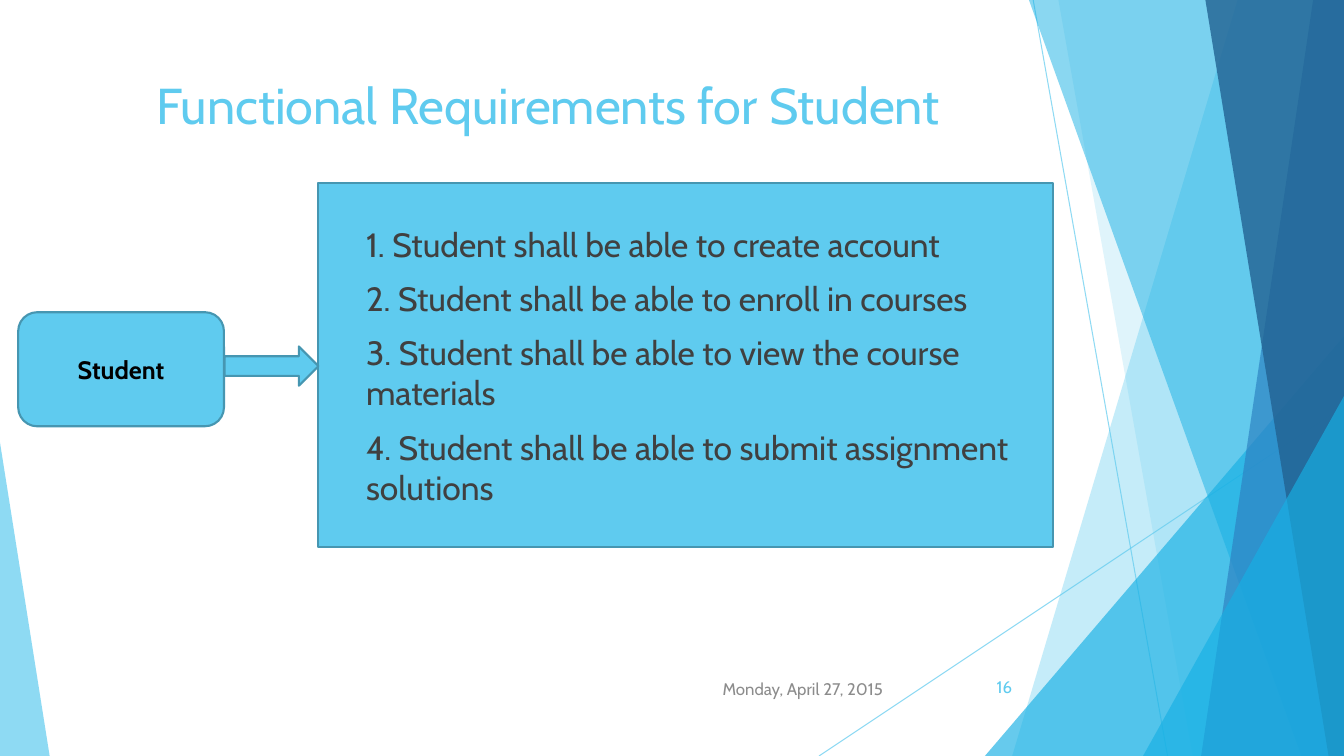
from dataclasses import dataclass

from lxml.etree import SubElement
from pptx import Presentation
from pptx.dml.color import RGBColor
from pptx.enum.shapes import MSO_CONNECTOR, MSO_SHAPE
from pptx.enum.text import MSO_ANCHOR, PP_ALIGN
from pptx.oxml.ns import qn
from pptx.util import Pt


@dataclass(frozen=True)
class Theme:
    """Colours, font and type sizes of the slide."""
    font: str = "Cabin"
    sky: str = "5FCBEF"
    cyan: str = "17B0E4"
    blue: str = "2E83C3"
    navy: str = "226292"
    outline: str = "4696B1"
    body: str = "404040"
    muted: str = "8C8C8C"
    black: str = "000000"
    title_size: int = 36
    body_size: int = 24
    label_size: int = 18
    footer_size: int = 12
    hairline: float = 0.75
    border: float = 1.5


THEME = Theme()
WIDTH, HEIGHT = 960, 540
REQUIREMENTS = (
    "1. Student shall be able to create account",
    "2. Student shall be able to enroll in courses",
    "3. Student shall be able to view the course materials",
    "4. Student shall be able to submit assignment solutions",
)


def set_opacity(shape, percent):
    """Make the only colour of a shape partly transparent."""
    color = next(shape._element.spPr.iter(qn("a:srgbClr")))
    SubElement(color, qn("a:alpha"), val=str(percent * 1000))


def paint(shape, color, opacity=100):
    """Give a shape a flat fill without outline or shadow."""
    shape.shadow.inherit = False
    shape.fill.solid()
    shape.fill.fore_color.rgb = RGBColor.from_string(color)
    shape.line.fill.background()
    if opacity < 100:
        set_opacity(shape, opacity)


def add_ray(page, start, end):
    """Draw a thin translucent line."""
    ray = page.shapes.add_connector(
        MSO_CONNECTOR.STRAIGHT, *(Pt(value) for value in start + end))
    ray.line.color.rgb = RGBColor.from_string(THEME.sky)
    ray.line.width = Pt(THEME.hairline)
    set_opacity(ray, 70)
    SubElement(ray._element.spPr, qn("a:effectLst"))


def add_facet(page, top_left, bottom_left, color, opacity):
    """Draw a full-height band that ends at the right slide edge."""
    builder = page.shapes.build_freeform(Pt(top_left), 0)
    corners = ((WIDTH, 0), (WIDTH, HEIGHT), (bottom_left, HEIGHT))
    builder.add_line_segments([(Pt(x), Pt(y)) for x, y in corners])
    paint(builder.convert_to_shape(), color, opacity)


def add_wedge(page, left, top, width, apex, color, opacity):
    """Draw a right-angled triangle standing on the bottom slide edge."""
    wedge = page.shapes.add_shape(
        MSO_SHAPE.ISOSCELES_TRIANGLE, Pt(left), Pt(top), Pt(width), Pt(HEIGHT - top))
    wedge.adjustments[0] = apex
    paint(wedge, color, opacity)


def write(shape, lines, size, color, align, bold=False, space_before=0):
    """Write vertically centred paragraphs in one style."""
    frame = shape.text_frame
    frame.word_wrap = True
    frame.vertical_anchor = MSO_ANCHOR.MIDDLE
    for index, line in enumerate(lines):
        para = frame.add_paragraph() if index else frame.paragraphs[0]
        para.text = line
        para.alignment = align
        para.space_before = Pt(space_before)
        para.font.name = THEME.font
        para.font.size = Pt(size)
        para.font.bold = bold
        para.font.color.rgb = RGBColor.from_string(color)


def add_text(page, place, line, size, color, align):
    """Add a one-line text box."""
    box = page.shapes.add_textbox(*(Pt(value) for value in place))
    write(box, [line], size, color, align)


def add_block(page, kind, place):
    """Add an outlined diagram shape and return it."""
    block = page.shapes.add_shape(kind, *(Pt(value) for value in place))
    paint(block, THEME.sky)
    block.line.color.rgb = RGBColor.from_string(THEME.outline)
    block.line.width = Pt(THEME.border)
    return block


def add_backdrop(page):
    """Draw the rays, facets and wedges behind the content."""
    add_ray(page, (738, 0), (834, HEIGHT))
    add_ray(page, (WIDTH, 290), (585, HEIGHT))
    add_facet(page, 884, 723, THEME.sky, 36)
    add_facet(page, 756, 852, THEME.sky, 20)
    add_wedge(page, 703.5, 240, 256.5, 1, THEME.cyan, 66)
    add_facet(page, 735, 929.5, THEME.cyan, 50)
    add_facet(page, 938, 858, THEME.blue, 70)
    add_facet(page, 861, 949, THEME.navy, 80)
    add_wedge(page, 816.5, 283, 143.5, 1, THEME.cyan, 66)
    add_wedge(page, 0, 316, 35.5, 0, THEME.sky, 70)


def add_diagram(page):
    """Draw the student, the arrow and the list of requirements."""
    panel = add_block(page, MSO_SHAPE.RECTANGLE, (227, 131, 525.5, 260))
    panel.text_frame.margin_left = Pt(34.5)
    write(panel, REQUIREMENTS, THEME.body_size, THEME.body, PP_ALIGN.LEFT,
          space_before=10)
    student = add_block(page, MSO_SHAPE.ROUNDED_RECTANGLE, (13, 223, 147, 81.5))
    write(student, ["Student"], THEME.label_size, THEME.black, PP_ALIGN.CENTER,
          bold=True)
    add_block(page, MSO_SHAPE.RIGHT_ARROW, (160.5, 247.5, 67, 28))


def main():
    """Build the slide and save it."""
    deck = Presentation()
    deck.slide_width, deck.slide_height = Pt(WIDTH), Pt(HEIGHT)
    page = deck.slides.add_slide(deck.slide_layouts[6])
    add_backdrop(page)
    add_text(page, (53, 48, 677, 53.5), "Functional Requirements for Student",
             THEME.title_size, THEME.sky, PP_ALIGN.CENTER)
    add_text(page, (502, 477.5, 136, 28.5), "Monday, April 27, 2015",
             THEME.footer_size, THEME.muted, PP_ALIGN.RIGHT)
    add_text(page, (676, 476, 54, 28.5), "16",
             THEME.footer_size, THEME.sky, PP_ALIGN.RIGHT)
    add_diagram(page)
    deck.save("out.pptx")


main()
